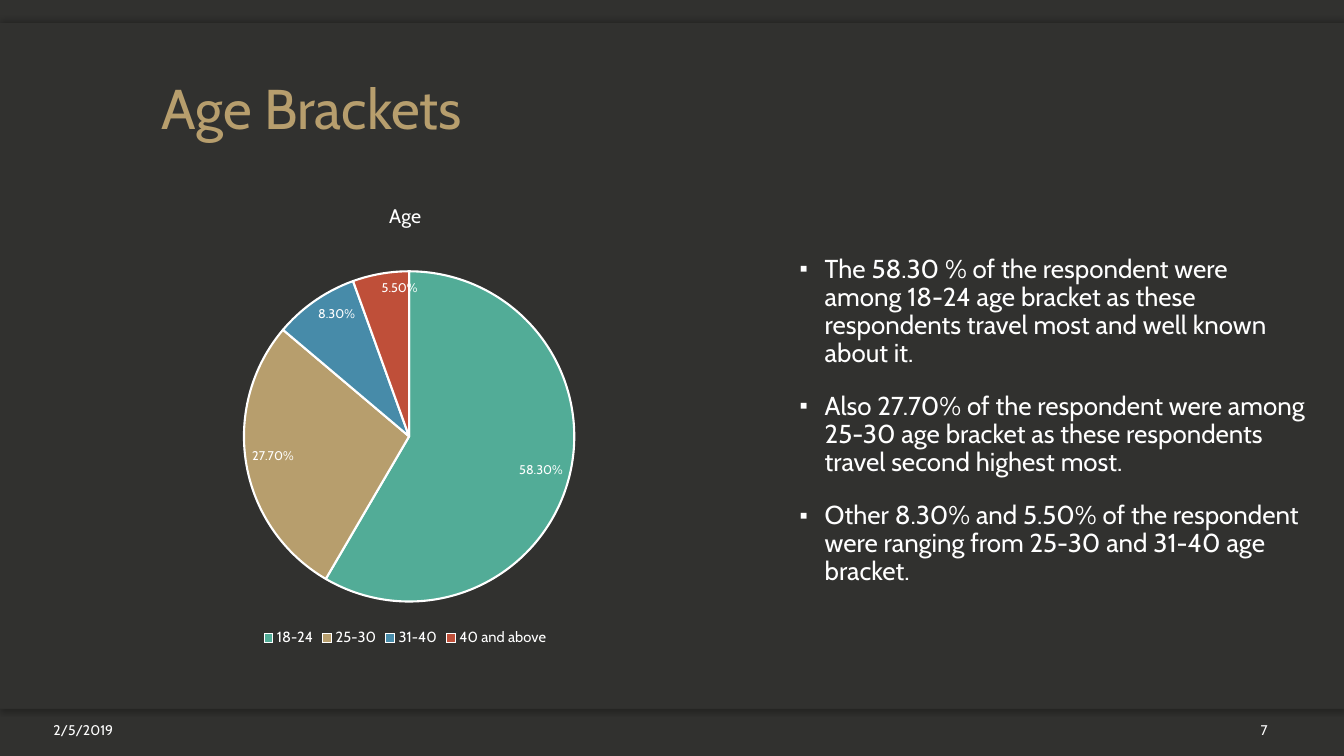
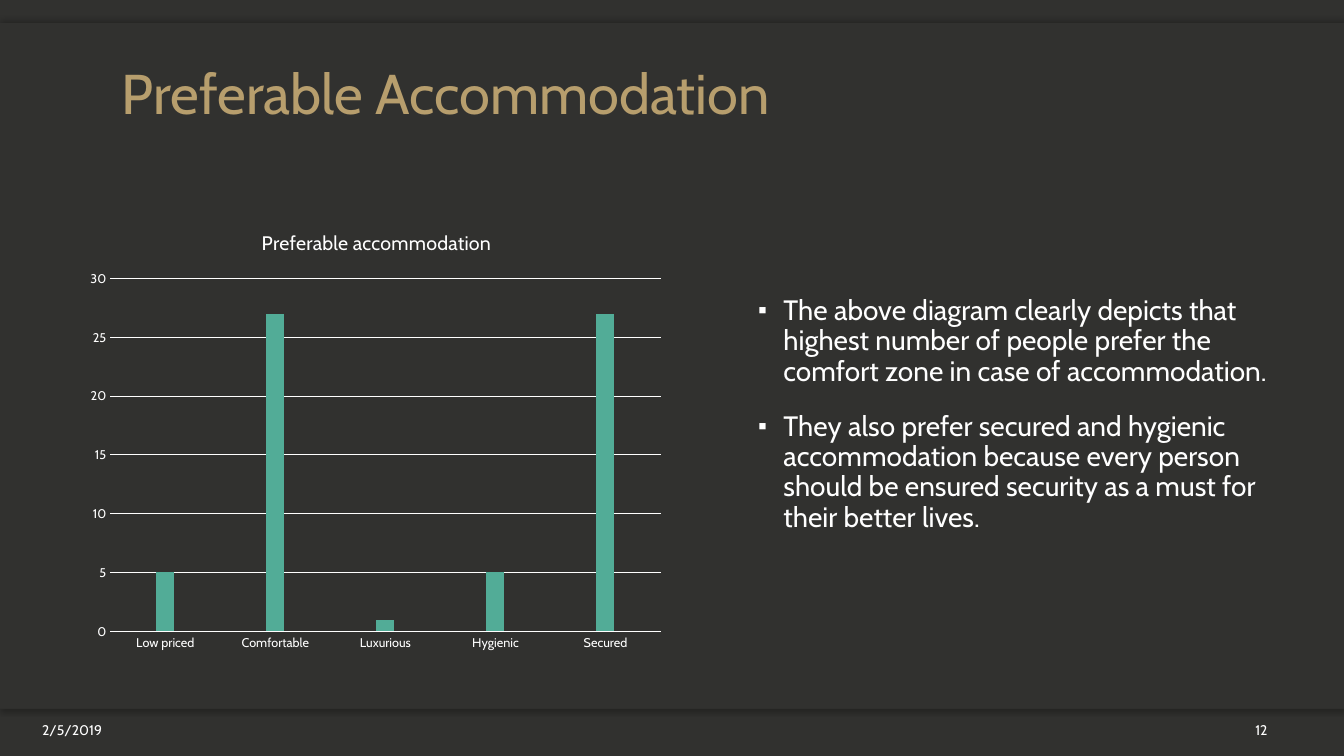
from lxml import etree
from pptx import Presentation
from pptx import util as u
from pptx.chart.data import CategoryChartData
from pptx.dml.color import RGBColor
from pptx.enum import chart as kinds, shapes, text
from pptx.oxml import parse_xml
from pptx.oxml.ns import nsdecls, qn

FONT = "Cabin"
DARK, GOLD, WHITE = "31312F", "B79E6D", "FFFFFF"
PALETTE = ["52AC97", GOLD, "478BA9", "BF4F39"]

BANDS = [
    (6.54, 0.49, 90),
    (0.23, 0.49, 270),
    (0.23, 6.8, None),
]
SLIDES = [
    {
        "title": "Age Brackets",
        "title_at": (1.5, 0.48, 10.5, 0.98),
        "points": [
            "The 58.30 % of the respondent were among 18-24 age bracket as these respondents travel most and well known about it.",
            "Also 27.70% of the respondent were among 25-30 age bracket as these respondents travel second highest most.",
            "Other 8.30% and 5.50% of the respondent were ranging from 25-30 and 31-40 age bracket.",
        ],
        "points_at": (7.83, 2.49, 5.21, 3.47),
        "points_size": 18.5,
        "kind": kinds.XL_CHART_TYPE.PIE,
        "chart_title": "Age",
        "chart_at": (0.21, 1.83, 7.62, 4.63),
        "plot_at": (0.29, 0.18, 0.43, 0.72),
        "categories": ["18-24", "25-30", "31-40", "40 and above"],
        "series": [("Age", [0.583, 0.277, 0.083, 0.055])],
        "date_right": 1.22,
        "number": "7",
    },
    {
        "title": "Preferable Accommodation",
        "title_at": (1.11, 0.44, 10.5, 0.87),
        "points": [
            "The above diagram clearly depicts that highest number of people prefer the comfort zone in case of accommodation.",
            "They also prefer secured and hygienic accommodation because every person should be ensured security as a must for their better lives.",
        ],
        "points_at": (7.42, 2.89, 5.25, 3.15),
        "points_size": 20,
        "kind": kinds.XL_CHART_TYPE.COLUMN_CLUSTERED,
        "chart_title": "Preferable accommodation",
        "chart_at": (0.8, 2.1, 5.87, 4.43),
        "plot_at": (0.05, 0.15, 0.93, 0.79),
        "categories": ["Low priced", "Comfortable", "Luxurious", "Hygienic", "Secured"],
        "series": [
            ("Series 1", [5, 27, 1, 5, 27]),
            ("Series 2", [None] * 5),
            ("Series 3", [None] * 5),
        ],
        "date_right": 1.11,
        "number": "12",
    },
]


def color(value):
    return RGBColor.from_string(value)


def inches(values):
    return [u.Inches(value) for value in values]


def paint(fill, value):
    fill.solid()
    fill.fore_color.rgb = color(value)


def outline(line, width):
    paint(line.fill, WHITE)
    line.width = u.Pt(width)


def style(font, size, value=WHITE):
    font.name, font.size, font.bold = FONT, u.Pt(size), False
    font.color.rgb = color(value)


def place(shape, at):
    shape.left, shape.top, shape.width, shape.height = inches(at)


def add_bands(page, layout, width):
    for order, (top, height, direction) in enumerate(BANDS):
        band = page.shapes.add_shape(shapes.MSO_SHAPE.RECTANGLE, 0, u.Inches(top), width, u.Inches(height))
        paint(band.fill, DARK)
        band.line.fill.background()
        band.shadow.inherit = False
        if direction is not None:
            effects = band.element.spPr.find(qn("a:effectLst"))
            effects.append(parse_xml(
                f'<a:outerShdw {nsdecls("a")} blurRad="{u.Pt(4)}" dist="{u.Pt(2)}" dir="{direction * 60000}" rotWithShape="0">'
                '<a:srgbClr val="000000"><a:alpha val="25000"/></a:srgbClr></a:outerShdw>'))
        layout.shapes.element.insert(2 + order, band.element)


def add_title(page, wording, at):
    title = page.shapes.title
    place(title, at)
    frame = title.text_frame
    frame.text = wording
    frame.auto_size = text.MSO_AUTO_SIZE.NONE
    frame.vertical_anchor = text.MSO_ANCHOR.BOTTOM
    para = frame.paragraphs[0]
    para.alignment = text.PP_ALIGN.LEFT
    para.line_spacing = 0.9
    style(para.runs[0].font, 40, GOLD)


def add_points(page, points, at, size):
    body = page.placeholders[1]
    place(body, at)
    frame = body.text_frame
    frame.text = "\n".join(points)
    frame.auto_size = text.MSO_AUTO_SIZE.NONE
    for index, para in enumerate(frame.paragraphs):
        props = para._p.get_or_add_pPr()
        props.set("marL", str(u.Inches(0.25)))
        props.set("indent", str(-u.Inches(0.25)))
        etree.SubElement(props, qn("a:buSzPct"), val="90000")
        etree.SubElement(props, qn("a:buChar"), char="▪")
        para.line_spacing = 0.9
        para.space_before = u.Pt(18 if index else 0)
        style(para.runs[0].font, size)


def add_footer(page, wording, left, width):
    box = page.shapes.add_textbox(*inches((left, 7.09, width, 0.3)))
    frame = box.text_frame
    frame.word_wrap = True
    frame.vertical_anchor = text.MSO_ANCHOR.MIDDLE
    frame.text = wording
    para = frame.paragraphs[0]
    para.alignment = text.PP_ALIGN.RIGHT
    style(para.runs[0].font, 10)


def set_plot_area(chart, at):
    area = chart.element.find(".//" + qn("c:plotArea"))
    for old in area.findall(qn("c:layout")):
        area.remove(old)
    sizes = "".join(f'<c:{tag} val="{value}"/>' for tag, value in zip("xywh", at))
    area.insert(0, parse_xml(
        f'<c:layout {nsdecls("c")}><c:manualLayout><c:layoutTarget val="inner"/>'
        f'<c:xMode val="edge"/><c:yMode val="edge"/>{sizes}</c:manualLayout></c:layout>'))


def format_pie(chart):
    plot = chart.plots[0]
    plot.vary_by_categories = True
    for index, value in enumerate(PALETTE):
        wedge = plot.series[0].points[index].format
        paint(wedge.fill, value)
        outline(wedge.line, 1.5)
    plot.has_data_labels = True
    labels = plot.data_labels
    labels.show_value = True
    labels.number_format = "0.00%"
    labels.number_format_is_linked = False
    labels.position = kinds.XL_LABEL_POSITION.INSIDE_END
    style(labels.font, 9)
    chart.has_legend = True
    chart.legend.position = kinds.XL_LEGEND_POSITION.BOTTOM
    chart.legend.include_in_layout = False
    style(chart.legend.font, 10.5)


def format_columns(chart):
    plot = chart.plots[0]
    plot.vary_by_categories = False
    plot.gap_width, plot.overlap = 500, 98
    for series, value in zip(plot.series, PALETTE):
        paint(series.format.fill, value)
    chart.has_legend = False
    for axis in (chart.category_axis, chart.value_axis):
        axis.major_tick_mark = axis.minor_tick_mark = kinds.XL_TICK_MARK.NONE
        style(axis.tick_labels.font, 9)
    chart.category_axis.has_major_gridlines = False
    outline(chart.category_axis.format.line, 0.75)
    values = chart.value_axis
    values.minimum_scale, values.maximum_scale, values.major_unit = 0, 30, 5
    values.format.line.fill.background()
    outline(values.major_gridlines.format.line, 0.75)


def add_chart(page, content):
    data = CategoryChartData()
    data.categories = content["categories"]
    for name, values in content["series"]:
        data.add_series(name, values)
    chart = page.shapes.add_chart(content["kind"], *inches(content["chart_at"]), data).chart
    style(chart.font, 10)
    chart.has_title = True
    chart.chart_title.include_in_layout = False
    frame = chart.chart_title.text_frame
    frame.text = content["chart_title"]
    style(frame.paragraphs[0].runs[0].font, 14)
    set_plot_area(chart, content["plot_at"])
    if content["kind"] == kinds.XL_CHART_TYPE.PIE:
        format_pie(chart)
    else:
        format_columns(chart)


def main():
    deck = Presentation()
    deck.slide_width, deck.slide_height = inches((13.33, 7.5))
    paint(deck.slide_master.background.fill, DARK)
    layout = deck.slide_layouts[1]
    for index, content in enumerate(SLIDES):
        page = deck.slides.add_slide(layout)
        if index == 0:
            add_bands(page, layout, deck.slide_width)
        add_title(page, content["title"], content["title_at"])
        add_points(page, content["points"], content["points_at"], content["points_size"])
        add_chart(page, content)
        add_footer(page, "2/5/2019", 0, content["date_right"])
        add_footer(page, content["number"], 11.92, 0.75)
    deck.save("out.pptx")


if __name__ == "__main__":
    main()
